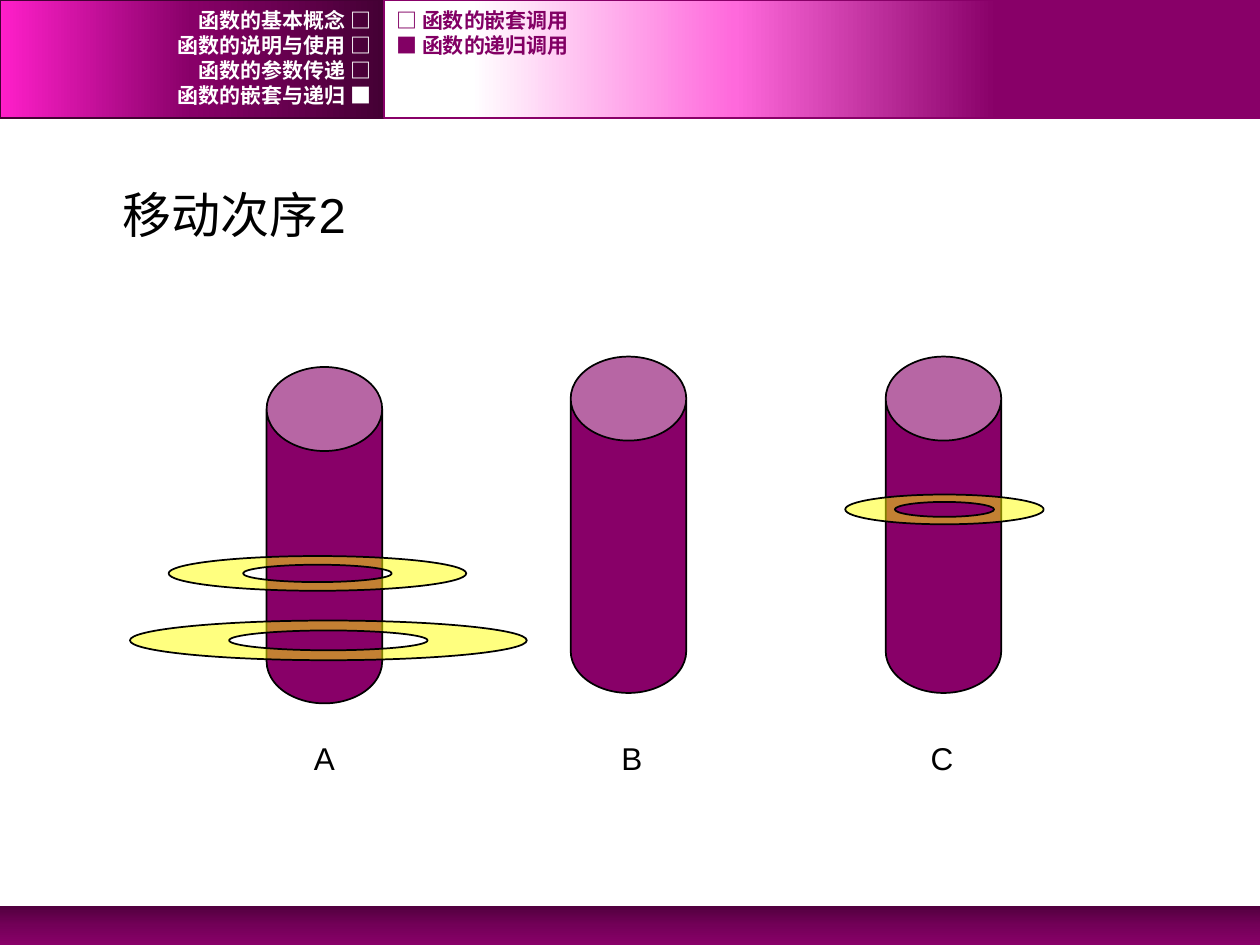
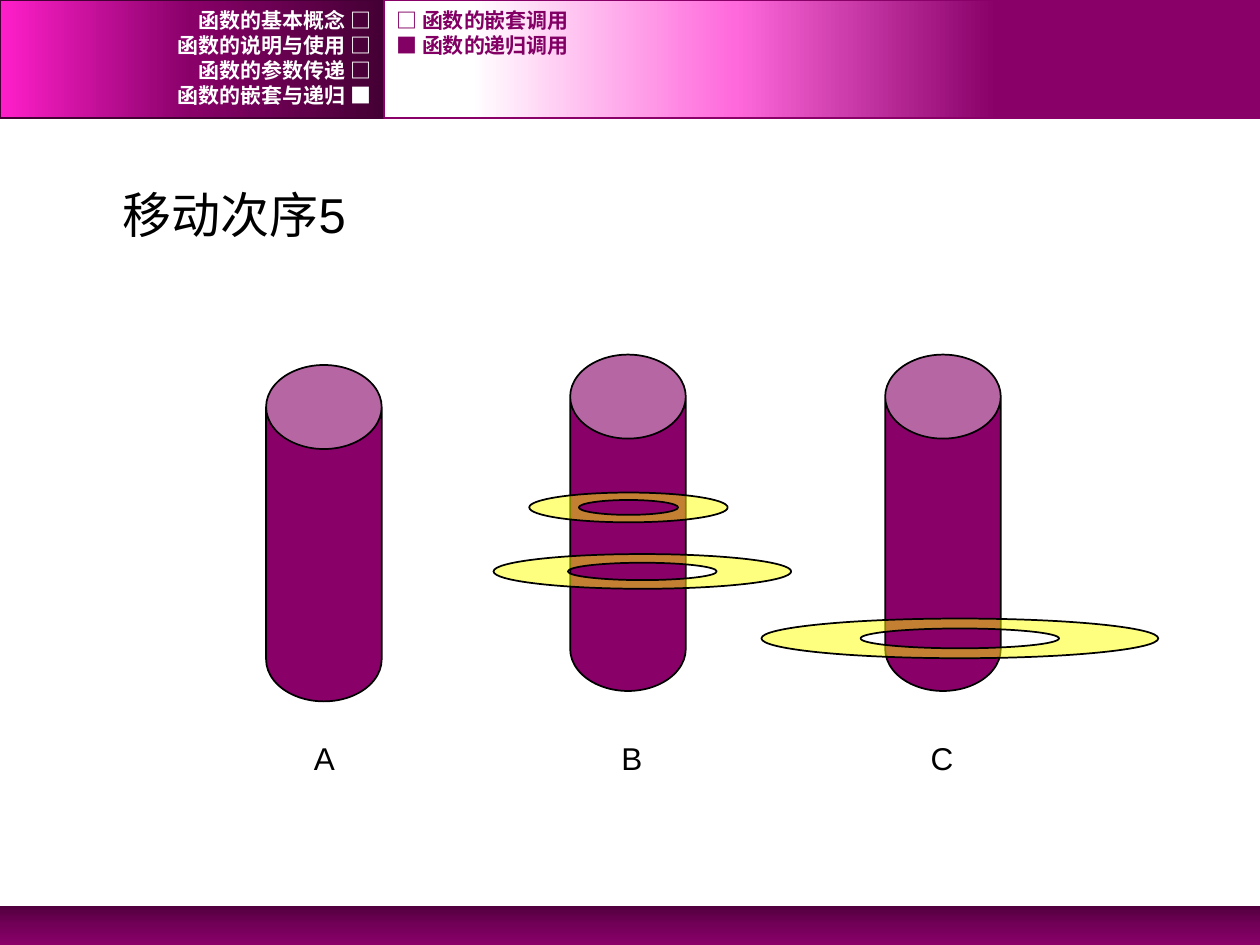
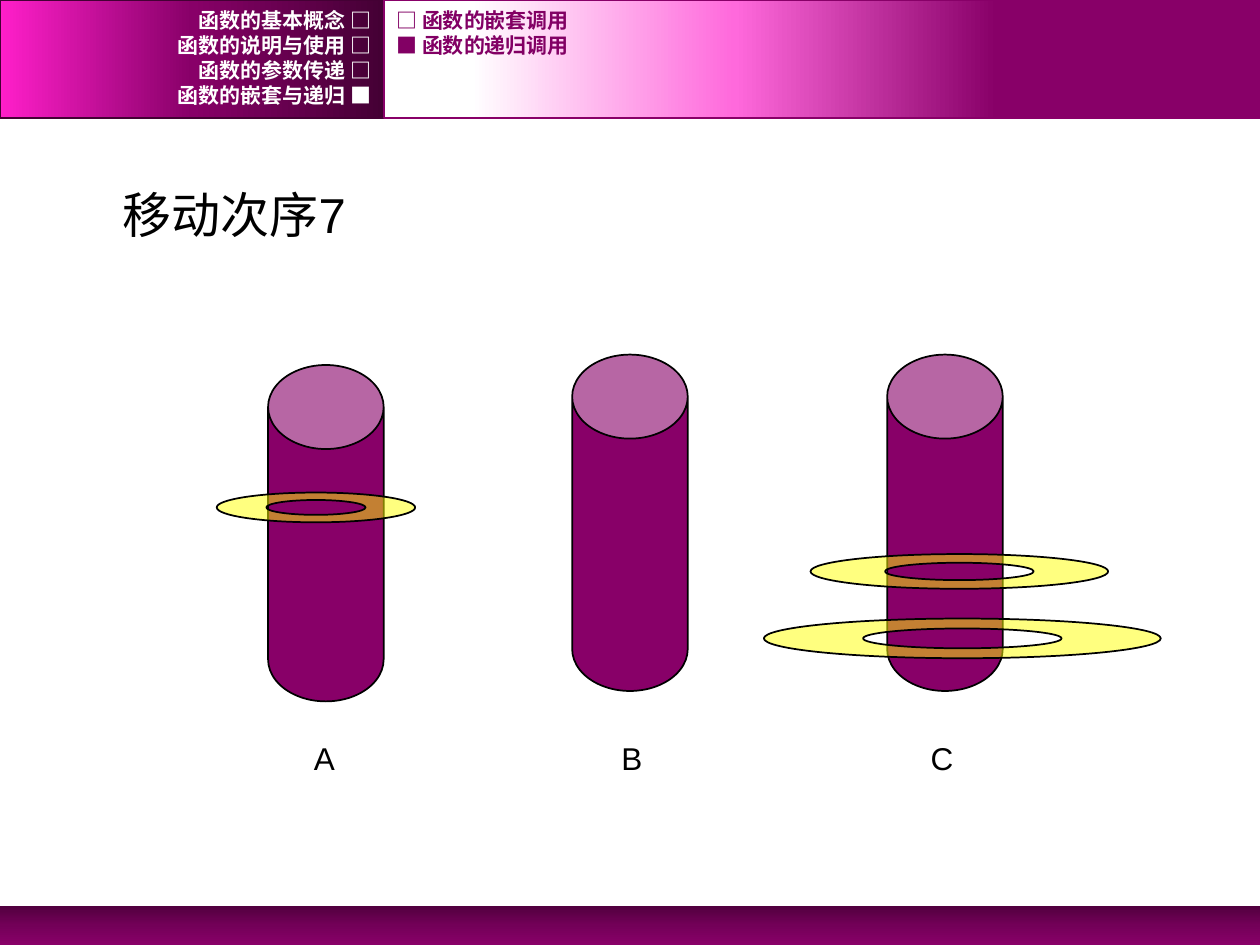
from dataclasses import dataclass

from lxml import etree
from pptx import Presentation
from pptx.dml.color import RGBColor
from pptx.enum.shapes import MSO_SHAPE
from pptx.enum.text import MSO_ANCHOR, PP_ALIGN
from pptx.oxml.ns import qn
from pptx.util import Cm, Pt

RECT, CAN = MSO_SHAPE.RECTANGLE, MSO_SHAPE.CAN
LEFT, RIGHT = PP_ALIGN.LEFT, PP_ALIGN.RIGHT
TOP, MIDDLE = MSO_ANCHOR.TOP, MSO_ANCHOR.MIDDLE


@dataclass(frozen=True)
class Theme:
    ink: str = "000000"
    white: str = "FFFFFF"
    plum: str = "880068"
    dark: str = "440034"
    topic: str = "820064"
    ring: str = "FFFF00"
    foot: tuple = ((0, "51003E"), (50, "730058"), (100, "880068"))
    menu: tuple = ((0, "440034"), (50, "880068"), (100, "FF1FCA"))
    head: tuple = ((30, "880068"), (60, "FF69DC"), (90, "FFFFFF"))
    body: str = "Arial"
    code: str = "Courier New"
    title: int = 28
    label: int = 18
    small: int = 12


THEME = Theme()

WIDTH, HEIGHT = 25.4, 19.05
SPLIT, BAND = 7.74, 2.38
FOOT = 18.26
CHAPTERS = ("函数的基本概念 □", "函数的说明与使用 □",
            "函数的参数传递 □", "函数的嵌套与递归 ■")
TOPICS = ("□ 函数的嵌套调用", "■ 函数的递归调用")
ROW = 0.5

# Each peg: centre, top
PEGS = {"A": (6.54, 7.4), "B": (12.67, 7.19), "C": (19.02, 7.19)}
PEG_W, PEG_H = 2.33, 6.78
TABS = (0.7, 6.9, 13.15)
# Each ring, smallest first: width, height, middle
RINGS = ((4, 0.6, 10.27), (6, 0.7, 11.56), (8, 0.8, 12.91))
# Each step: number, shift of the drawing, peg and nudge of every ring
STEPS = (
    (2, (0, 0), (("C", 0.02), ("A", -0.14), ("A", 0.08))),
    (5, (-0.01, -0.04), (("B", 0.01), ("B", 0.29), ("C", 0.34))),
    (7, (0.03, -0.04), (("A", -0.2), ("C", 0.29), ("C", 0.35))),
)
# Points of a unit circle: start, then two handles and an end per quarter
BEND = 0.55
CIRCLE = ((-1, 0), (-1, -BEND), (-BEND, -1), (0, -1),
          (BEND, -1), (1, -BEND), (1, 0),
          (1, BEND), (BEND, 1), (0, 1),
          (-BEND, 1), (-1, BEND), (-1, 0))


def rgb(code):
    return RGBColor.from_string(code)


def edge(shape, color):
    shape.shadow.inherit = False
    if color:
        shape.line.color.rgb = rgb(color)
        shape.line.width = Pt(1)
    else:
        shape.line.fill.background()


def add_band(slide, box, stops, angle, line=None):
    """Draw a rectangle with a gradient of any number of stops."""
    shape = slide.shapes.add_shape(RECT, *map(Cm, box))
    edge(shape, line)
    shape.fill.gradient()
    shape.fill.gradient_angle = angle
    items = shape.element.spPr.find(qn("a:gradFill")).find(qn("a:gsLst"))
    for item in list(items):
        items.remove(item)
    for place, color in stops:
        stop = etree.SubElement(items, qn("a:gs"), pos=str(place * 1000))
        etree.SubElement(stop, qn("a:srgbClr"), val=color)


def add_text(slide, box, text, size, font, color,
             align=LEFT, anchor=TOP, bold=False, indent=0, tabs=()):
    frame = slide.shapes.add_textbox(*map(Cm, box)).text_frame
    frame.word_wrap = True
    frame.vertical_anchor = anchor
    if anchor == MIDDLE:
        frame.margin_top = frame.margin_bottom = 0
    para = frame.paragraphs[0]
    para.text = text
    para.alignment = align
    props = para._p.get_or_add_pPr()
    if indent:
        props.set("marL", str(Cm(indent)))
    if tabs:
        stops = etree.SubElement(props, qn("a:tabLst"))
        for tab in tabs:
            etree.SubElement(stops, qn("a:tab"), pos=str(Cm(tab)), algn="ctr")
    para.font.size = Pt(size)
    para.font.name = font
    para.font.bold = bold
    para.font.color.rgb = rgb(color)


def add_menu(slide, left, width, items, color, align):
    for row, item in enumerate(items):
        add_text(slide, (left, 0.16 + row * ROW, width, ROW), item,
                 THEME.small, THEME.code, color, align, MIDDLE, bold=True)


def add_bands(slide):
    add_band(slide, (0, FOOT, WIDTH, HEIGHT - FOOT), THEME.foot, 270)
    add_band(slide, (0, 0, SPLIT, BAND), THEME.menu, 180, THEME.dark)
    add_band(slide, (SPLIT, 0, WIDTH - SPLIT, BAND), THEME.head, 180,
             THEME.plum)


def add_menus(slide):
    add_menu(slide, 0, SPLIT, CHAPTERS, THEME.white, RIGHT)
    add_menu(slide, SPLIT, 15.3, TOPICS, THEME.topic, LEFT)


def add_peg(slide, mid, top):
    box = (mid - PEG_W / 2, top, PEG_W, PEG_H)
    peg = slide.shapes.add_shape(CAN, *map(Cm, box))
    peg.adjustments[0] = 0.727
    peg.fill.solid()
    peg.fill.fore_color.rgb = rgb(THEME.plum)
    edge(peg, THEME.ink)


def oval(x, y, width, height):
    return [(Cm(x + width / 2 * u), Cm(y + height / 2 * v))
            for u, v in CIRCLE]


def curve(shape):
    """Turn every three line segments of an outline into one curve."""
    lines = list(shape.element.iter(qn("a:lnTo")))
    for i in range(0, len(lines), 3):
        bend = etree.Element(qn("a:cubicBezTo"))
        lines[i].addprevious(bend)
        for line in lines[i:i + 3]:
            bend.append(line.find(qn("a:pt")))
            line.getparent().remove(line)


def add_ring(slide, x, y, width, height):
    outer = oval(x, y, width, height)
    inner = oval(x, y, width / 2, -height / 2)
    pen = slide.shapes.build_freeform(*outer[0])
    pen.add_line_segments(outer[1:], close=True)
    pen.move_to(*inner[0])
    pen.add_line_segments(inner[1:], close=True)
    ring = pen.convert_to_shape()
    curve(ring)
    ring.fill.solid()
    ring.fill.fore_color.rgb = rgb(THEME.ring)
    color = ring.element.spPr.find(qn("a:solidFill")).find(qn("a:srgbClr"))
    etree.SubElement(color, qn("a:alpha"), val="50000")
    edge(ring, THEME.ink)


def add_step(slide, number, shift, places):
    dx, dy = shift
    add_text(slide, (1.27, 3.6, 22.65, 1.55), f"移动次序{number}",
             THEME.title, THEME.body, THEME.ink, indent=0.96)
    for mid, top in PEGS.values():
        add_peg(slide, mid + dx, top + dy)
    for (width, height, y), (peg, nudge) in zip(RINGS, places):
        add_ring(slide, PEGS[peg][0] + nudge + dx, y + dy, width, height)
    add_text(slide, (5.59, 14.77, 15.24, 1.02), "\t" + "\t".join(PEGS),
             THEME.label, THEME.body, THEME.ink, tabs=TABS)


def main():
    deck = Presentation()
    deck.slide_width, deck.slide_height = Cm(WIDTH), Cm(HEIGHT)
    for step in STEPS:
        slide = deck.slides.add_slide(deck.slide_layouts[6])
        add_bands(slide)
        add_step(slide, *step)
        add_menus(slide)
    deck.save("out.pptx")


if __name__ == "__main__":
    main()
